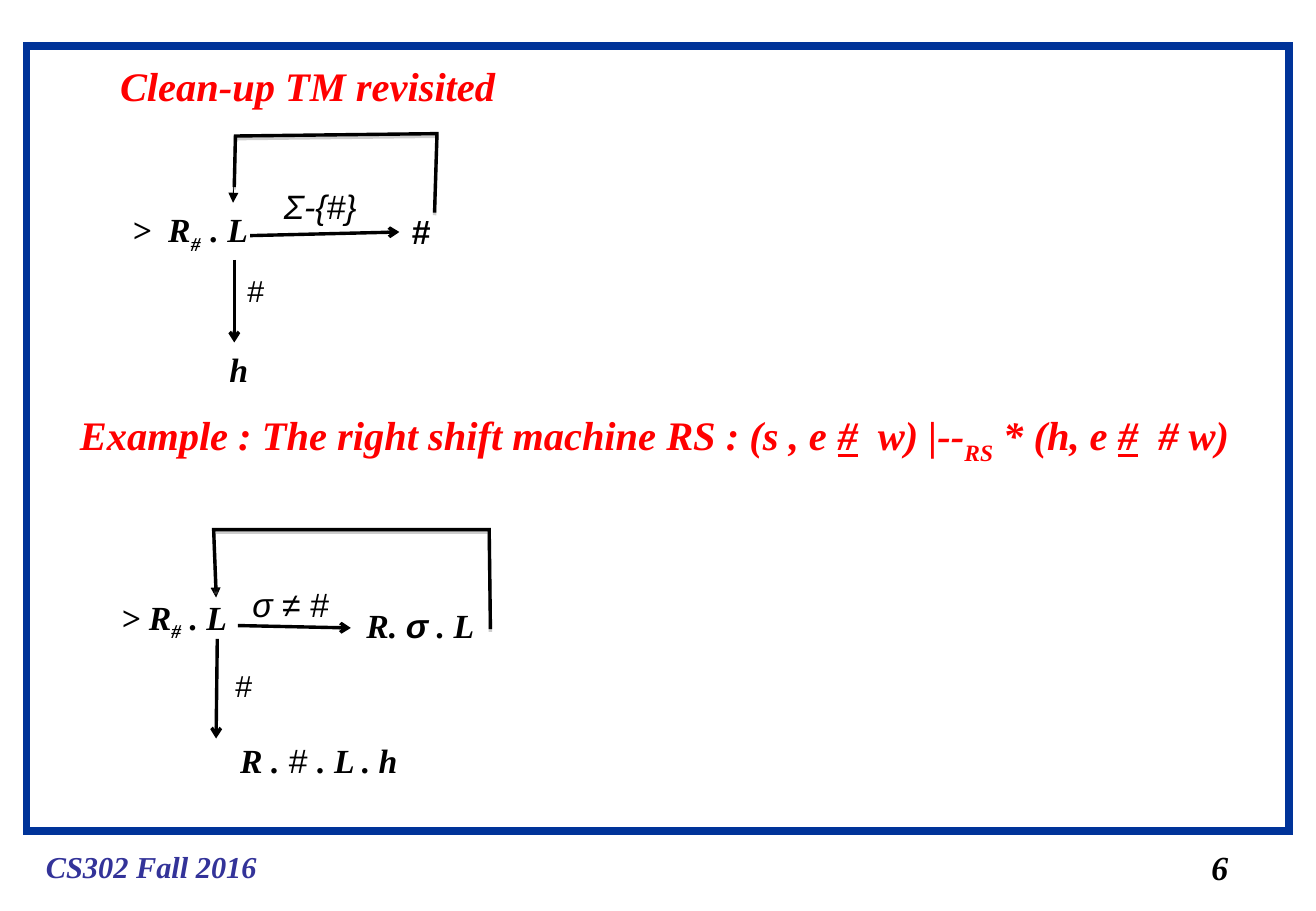
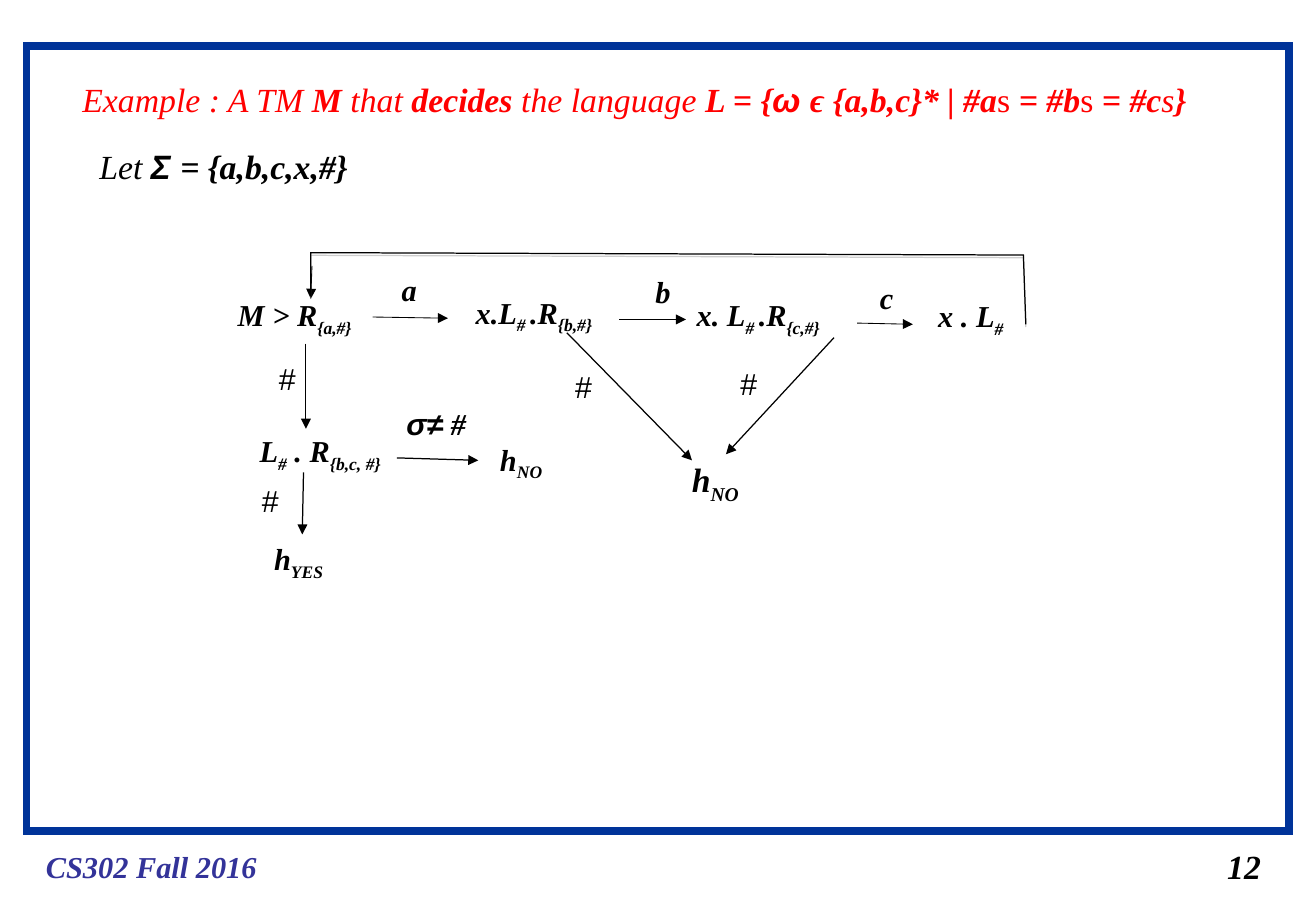
from lxml.etree import SubElement
from pptx import Presentation
from pptx.dml.color import RGBColor
from pptx.enum.shapes import MSO_CONNECTOR, MSO_SHAPE
from pptx.enum.text import MSO_AUTO_SIZE
from pptx.oxml.ns import qn
from pptx.util import Inches, Pt

COLORS = {"frame": "003399", "footer": "333399", "title": "FF0000",
          "ink": "000000", "shade": "808080"}
SERIF, SANS = "Times New Roman", "Arial"

# size, font, colour, bold, italic
STYLES = {
    "title": (24, SERIF, "title", True, True),
    "task": (20, SERIF, "title", False, True),
    "note": (20, SERIF, "ink", False, True),
    "big": (20, SERIF, "ink", True, True),
    "state": (18, SERIF, "ink", True, True),
    "cond": (20, SANS, "ink", False, True),
    "write": (20, SANS, "ink", True, True),
    "sigma": (18, SANS, "ink", True, True),
    "hash": (18, SANS, "ink", False, False),
    "footer": (18, SERIF, "footer", True, True),
}

# What a mark on a run changes
MARKS = {
    "u": {"underline": True},
    "b": {"bold": True},
    "n": {"bold": False},
    "r": {"italic": False},
    "a": {"name": SANS},
    "t": {"name": SERIF},
}
SUB = "_"

FRAME = (0.22, 0.38, 10.4, 6.46)
FOOTER = (0.28, 6.93, 1.93, 0.4, "footer", ["CS302 Fall 2016"])

# Texts: left, top, width, height, style, runs (text or (text, marks))
# Arrows: x1, y1, x2, y2
# Loops: corner points
SLIDES = [
    {
        "texts": [
            (0.89, 0.45, 3.29, 0.5, "title", ["Clean-up TM revisited"]),
            (0.56, 3.33, 9.66, 0.56, "title", [
                "Example : The right shift machine RS : (s , e ", ("#", "u"),
                "  w) |--", ("RS", "_"), " * (h, e ", ("#", "u"), "  # w)"]),
            (0.9, 4.86, 1.14, 0.48, "big", ["> R", ("#", "_"), " . L"]),
            (1.98, 4.76, 1.05, 0.44, "cond", ["σ ≠ #"]),
            (2.92, 4.93, 1.08, 0.77, "big", ["R. ", ("σ", "a"), " . L"]),
            (1.84, 5.44, 0.34, 0.4, "hash", ["#"]),
            (1.88, 6.04, 1.58, 0.44, "big", ["R .", (" # ", "anr"), ". L . h"]),
            (0.99, 1.67, 1.12, 0.48, "big", [">  R", ("#  ", "_"), ". L"]),
            (2.24, 1.48, 0.81, 0.44, "cond", ["Σ-{#}"]),
            (3.29, 1.69, 0.43, 0.44, "write", ["#"]),
            (1.94, 2.19, 0.33, 0.4, "hash", ["#"]),
            (1.79, 2.82, 0.35, 0.44, "big", ["h"]),
            (9.88, 6.92, 0.34, 0.44, "big", ["6"]),
        ],
        "arrows": [
            (2, "arrow", [(1.96, 5.15, 2.89, 5.17), (1.79, 5.26, 1.78, 6.08),
                          (2.06, 1.94, 3.29, 1.91), (1.93, 2.14, 1.93, 2.82)]),
            (0.5, "triangle", [(1.76, 4.51, 1.78, 4.92),
                               (1.93, 1.35, 1.92, 1.67)]),
        ],
        "loops": (2, [
            [(4.04, 5.18), (4.03, 4.36), (1.76, 4.36), (1.78, 4.87)],
            [(3.58, 1.75), (3.6, 1.1), (1.94, 1.12), (1.93, 1.54)],
        ]),
    },
    {
        "texts": [
            (10.01, 6.91, 0.48, 0.44, "big", ["12"]),
            (0.58, 0.6, 9.33, 0.44, "task", [
                "Example : A TM ", ("M", "b"), " that ", ("decides", "b"),
                " the language ", ("L = {", "b"), ("ω ", "ab"),
                ("ϵ {a,b,c}* | #a", "b"), ("s", "r"), (" = #b", "b"),
                ("s ", "r"), ("= #c", "b"), "s", ("}", "b")]),
            (0.72, 1.15, 2.21, 0.48, "note",
             ["Let ", ("Σ ", "ab"), ("= {a,b,c,x,#}", "b")]),
            (5.6, 3.73, 0.59, 0.48, "big", ["h", ("NO", "_")]),
            (1.86, 2.39, 1.21, 0.44, "state", ["M > R", ("{a,#}", "_")]),
            (3.21, 2.18, 0.32, 0.4, "state", ["a"]),
            (3.82, 2.37, 1.26, 0.44, "state",
             ["x.L", ("# ", "_"), ".R", ("{b,#}", "_")]),
            (5.3, 2.2, 0.32, 0.4, "state", ["b"]),
            (5.64, 2.39, 1.21, 0.44, "state",
             ["x. L", ("# ", "_"), ".R", ("{c,#}", "_")]),
            (7.15, 2.25, 0.3, 0.4, "state", ["c"]),
            (7.63, 2.4, 1.51, 0.44, "state", ["x . L", ("#", "_")]),
            (2.2, 2.92, 0.34, 0.4, "hash", ["#"]),
            (2.16, 4.4, 0.7, 0.44, "state", ["h", ("YES", "_")]),
            (4.64, 2.98, 0.34, 0.4, "hash", ["#"]),
            (6, 2.96, 0.34, 0.4, "hash", ["#"]),
            (2.04, 3.51, 1.2, 0.78, "state",
             ["L", ("#", "_"), " . R", ("{b,c, #}", "_")]),
            (3.25, 3.29, 0.74, 0.4, "sigma", ["σ≠", (" #", "t")]),
            (2.06, 3.92, 0.34, 0.4, "hash", ["#"]),
            (4.02, 3.58, 0.55, 0.44, "state", ["h", ("NO", "_")]),
        ],
        "arrows": [
            (0.5, "triangle", [(3.06, 2.61, 3.69, 2.62), (5.1, 2.63, 5.65, 2.63),
                               (7.06, 2.66, 7.52, 2.67), (2.57, 2.19, 2.56, 2.46),
                               (2.52, 2.83, 2.52, 3.53)]),
            (0.75, "triangle", [(3.27, 3.77, 3.94, 3.79), (4.67, 2.74, 5.7, 3.79),
                                (6.87, 2.78, 5.98, 3.74), (2.5, 3.89, 2.49, 4.4)]),
        ],
        "loops": (0.75, [
            [(8.45, 2.67), (8.43, 2.1), (2.56, 2.08), (2.56, 2.44)],
        ]),
    },
]


def color(name):
    return RGBColor.from_string(COLORS[name])


def stroke(shape, name, width):
    """Give the shape a plain line with sharp corners."""
    shape.line.color.rgb = color(name)
    shape.line.width = Pt(width)
    SubElement(shape.line._get_or_add_ln(), qn("a:miter"), lim="800000")


def add_text(slide, left, top, width, height, style, runs):
    box = slide.shapes.add_textbox(*map(Inches, (left, top, width, height)))
    frame = box.text_frame
    frame.word_wrap = True
    frame.auto_size = MSO_AUTO_SIZE.NONE
    frame.margin_right = 0  # spare room keeps each text on one line
    para = frame.paragraphs[0]
    size, face, ink, bold, slant = STYLES[style]
    font = para.font
    font.size, font.name, font.bold, font.italic = Pt(size), face, bold, slant
    font.color.rgb = color(ink)
    for item in runs:
        text, marks = (item, "") if isinstance(item, str) else item
        run = para.add_run()
        run.text = text
        for mark in marks:
            if mark == SUB:
                run.font._element.set("baseline", "-25000")
            else:
                for key, value in MARKS[mark].items():
                    setattr(run.font, key, value)
    return box


def find_side(boxes, x, y):
    """Return the box and side whose middle lies at the point, if any."""
    near = Inches(0.015)
    for box in boxes:
        midx, midy = box.left + box.width // 2, box.top + box.height // 2
        sides = [(midx, box.top), (box.left, midy),
                 (midx, box.top + box.height), (box.left + box.width, midy)]
        for side, (sx, sy) in enumerate(sides):
            if abs(sx - x) < near and abs(sy - y) < near:
                return box, side
    return None


def add_arrow(slide, boxes, ends, width, head):
    x1, y1, x2, y2 = map(Inches, ends)
    line = slide.shapes.add_connector(MSO_CONNECTOR.STRAIGHT, x1, y1, x2, y2)
    stroke(line, "ink", width)
    SubElement(line.line._get_or_add_ln(), qn("a:tailEnd"), type=head)
    SubElement(line._element.spPr, qn("a:effectLst"))
    for join, x, y in ((line.begin_connect, x1, y1), (line.end_connect, x2, y2)):
        spot = find_side(boxes, x, y)
        if spot:
            join(*spot)


def add_loop(slide, points, width):
    first, *rest = [(Inches(x), Inches(y)) for x, y in points]
    outline = slide.shapes.build_freeform(*first)
    outline.add_line_segments(rest, close=False)
    loop = outline.convert_to_shape()
    loop.fill.background()
    stroke(loop, "ink", width)
    loop.shadow.inherit = False
    effects = loop._element.spPr.find(qn("a:effectLst"))
    shade = SubElement(effects, qn("a:outerShdw"), blurRad="0", dist="20000",
                       dir="5400000", rotWithShape="0")
    tint = SubElement(shade, qn("a:srgbClr"), val=COLORS["shade"])
    SubElement(tint, qn("a:alpha"), val="38000")


def add_base(slide):
    """Draw the frame and footer that every slide has."""
    frame = slide.shapes.add_shape(MSO_SHAPE.RECTANGLE, *map(Inches, FRAME))
    frame.fill.background()
    frame.shadow.inherit = False
    stroke(frame, "frame", 4.5)
    add_text(slide, *FOOTER)


def main():
    deck = Presentation()
    deck.slide_width, deck.slide_height = Inches(10.84), Inches(7.5)
    for data in SLIDES:
        slide = deck.slides.add_slide(deck.slide_layouts[6])
        add_base(slide)
        boxes = [add_text(slide, *text) for text in data["texts"]]
        for width, head, arrows in data["arrows"]:
            for ends in arrows:
                add_arrow(slide, boxes, ends, width, head)
        width, loops = data["loops"]
        for points in loops:
            add_loop(slide, points, width)
    deck.save("out.pptx")


if __name__ == "__main__":
    main()
